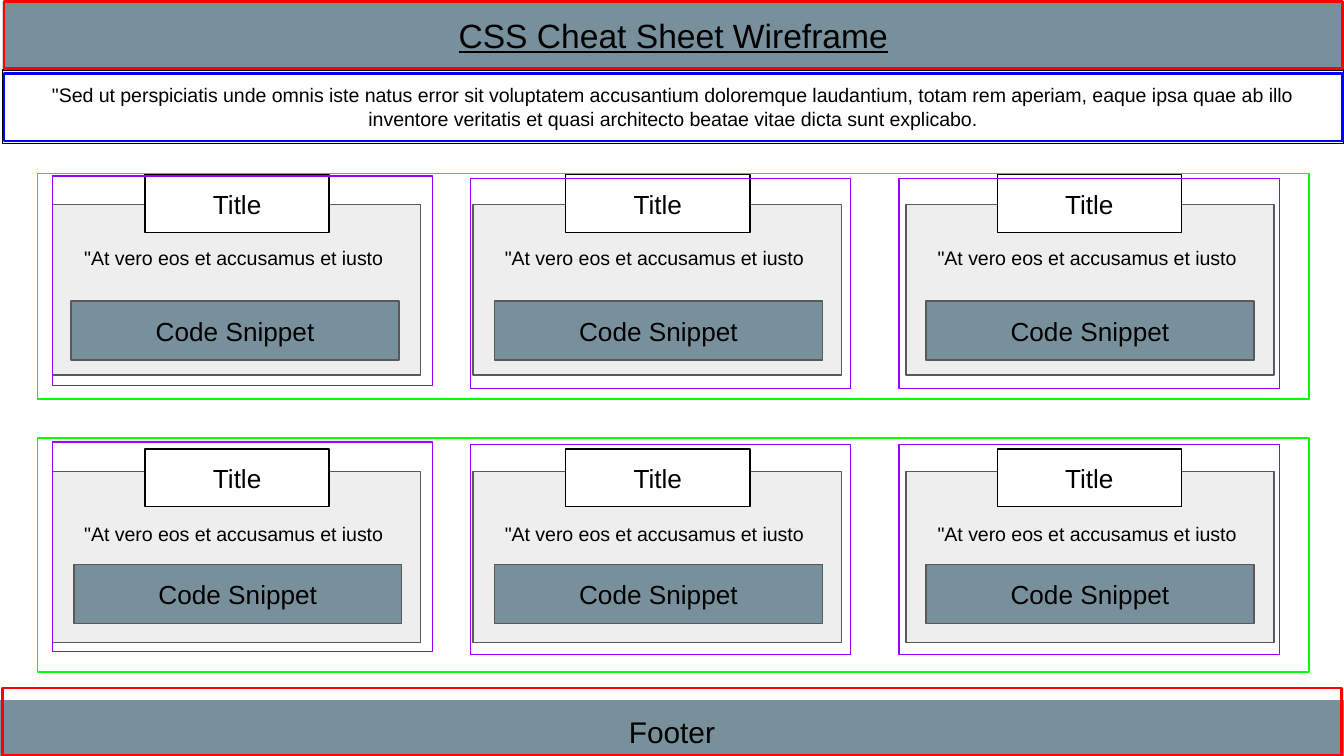
from collections import namedtuple
from itertools import product

from pptx import Presentation
from pptx.dml.color import RGBColor
from pptx.enum.shapes import MSO_SHAPE
from pptx.enum.text import MSO_ANCHOR, MSO_AUTO_SIZE, PP_ALIGN
from pptx.util import Inches, Pt

SLATE, PALE, GREY = "78909C", "EEEEEE", "595959"
BLACK, WHITE = "000000", "FFFFFF"
RED, BLUE, GREEN, PURPLE = "FF0000", "0000FF", "00FF00", "9900FF"
INTRO = (
    '"Sed ut perspiciatis unde omnis iste natus error sit voluptatem accusantium '
    "doloremque laudantium, totam rem aperiam, eaque ipsa quae ab illo inventore "
    "veritatis et quasi architecto beatae vitae dicta sunt explicabo."
)

Column = namedtuple("Column", "card title code frame frame_rise")
Row = namedtuple("Row", "card title text code frame group group_height")
COLUMNS = [
    Column(0.39, 1.08, 0.55, 0.39, 0.02),
    Column(3.52, 4.21, 3.68, 3.5, 0),
    Column(6.74, 7.42, 6.89, 6.69, 0),
]
ROWS = [
    Row(1.52, 1.3, 1.73, 2.24, 1.33, 1.29, 1.68),
    Row(3.51, 3.34, 3.78, 4.2, 3.31, 3.26, 1.74),
]


def color(value):
    """Turn a hex string into a colour."""
    return RGBColor.from_string(value)


def write(sp, text, size, anchor=MSO_ANCHOR.TOP):
    """Put one centred paragraph into a shape."""
    tf = sp.text_frame
    tf.word_wrap = True
    tf.auto_size = MSO_AUTO_SIZE.NONE
    tf.vertical_anchor = anchor
    tf.margin_left = tf.margin_right = tf.margin_top = tf.margin_bottom = Inches(0.1)
    p = tf.paragraphs[0]
    p.text = text
    p.alignment = PP_ALIGN.CENTER
    p.font.name = "Arial"
    p.font.size = Pt(size)
    p.font.color.rgb = color(BLACK)
    return p


def add_box(s, box, fill=None, line=None, width=0.75):
    """Add a rectangle with optional fill and outline."""
    sp = s.shapes.add_shape(MSO_SHAPE.RECTANGLE, *map(Inches, box))
    sp.shadow.inherit = False
    if fill:
        sp.fill.solid()
        sp.fill.fore_color.rgb = color(fill)
    else:
        sp.fill.background()
    if line:
        sp.line.color.rgb = color(line)
        sp.line.width = Pt(width)
    else:
        sp.line.fill.background()
    return sp


def add_header(s):
    """Fill the title placeholder and place it across the top."""
    sp = s.shapes.title
    sp.left, sp.top, sp.width, sp.height = map(Inches, (0.02, 0.01, 9.98, 0.5))
    sp.fill.solid()
    sp.fill.fore_color.rgb = color(SLATE)
    write(sp, "CSS Cheat Sheet Wireframe", 18).font.underline = True


def add_card(s, row, column):
    """Add one card with its title, text, snippet and frame."""
    first = (row, column) == (ROWS[0], COLUMNS[0])
    code_x = column.code - (0.02 if first else 0)
    add_box(s, (column.card, row.card, 2.74, 1.27), PALE, GREY)
    write(add_box(s, (column.title, row.title, 1.37, 0.43), WHITE, BLACK), "Title", 14)
    text = s.shapes.add_textbox(*map(Inches, (column.card, row.text, 2.74, 0.38)))
    write(text, '"At vero eos et accusamus et iusto ', 10.5)
    code = add_box(s, (code_x, row.code, 2.44, 0.44), SLATE, GREY)
    write(code, "Code Snippet", 14, MSO_ANCHOR.MIDDLE)
    add_box(s, (column.frame, row.frame - column.frame_rise, 2.83, 1.56), line=PURPLE)


def main():
    """Build the wireframe slide."""
    prs = Presentation()
    prs.slide_width = Inches(10)
    prs.slide_height = prs.slide_width * 9 // 16
    s = prs.slides.add_slide(prs.slide_layouts[5])
    add_header(s)
    write(add_box(s, (0.02, 0.52, 9.98, 0.55), line=BLACK), INTRO, 10.5)
    write(add_box(s, (0, 5.21, 10, 0.47), SLATE), "Footer", 16)
    for row, column in product(ROWS, COLUMNS):
        add_card(s, row, column)
    for row in ROWS:
        add_box(s, (0.28, row.group, 9.46, row.group_height), line=GREEN)
    for x, y, line in [(0.03, 0.01, RED), (0.03, 0.55, BLUE), (0.02, 5.12, RED)]:
        add_box(s, (x, y, 9.96, 0.5), line=line, width=1.5)
    prs.save("out.pptx")


if __name__ == "__main__":
    main()
